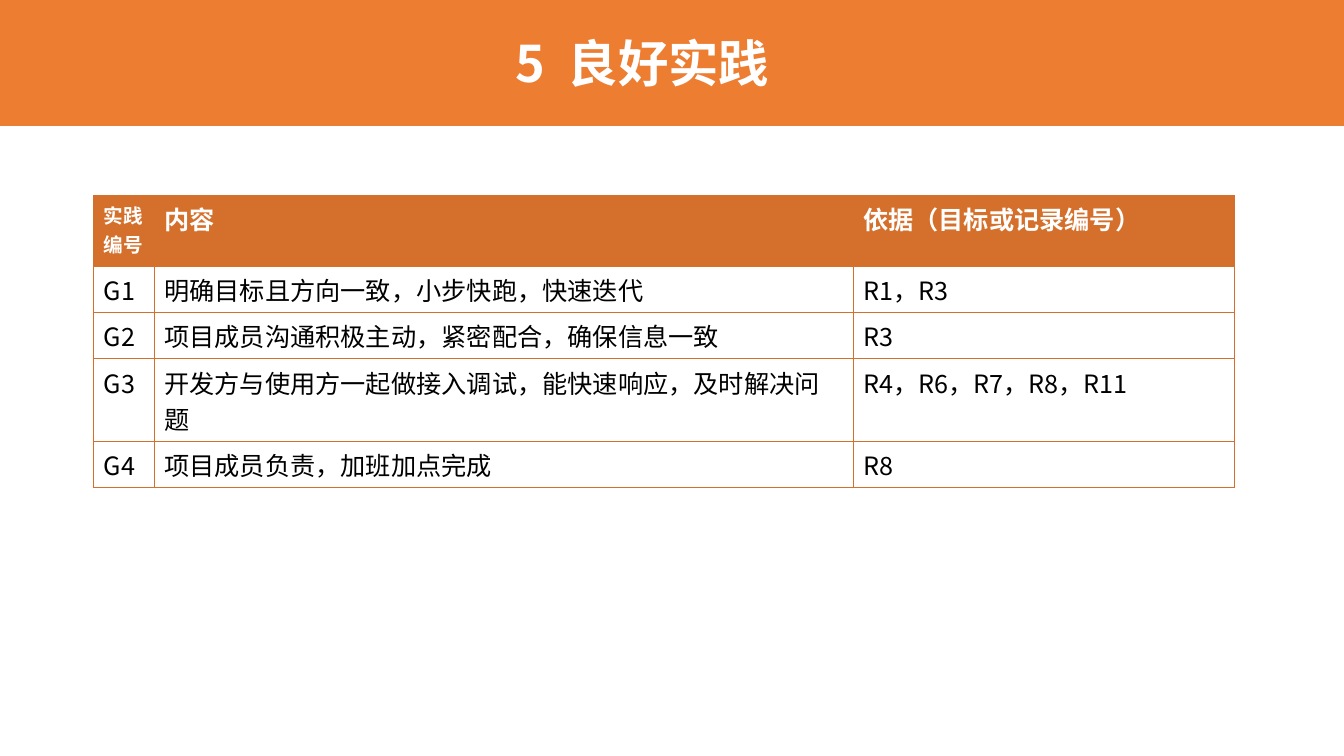
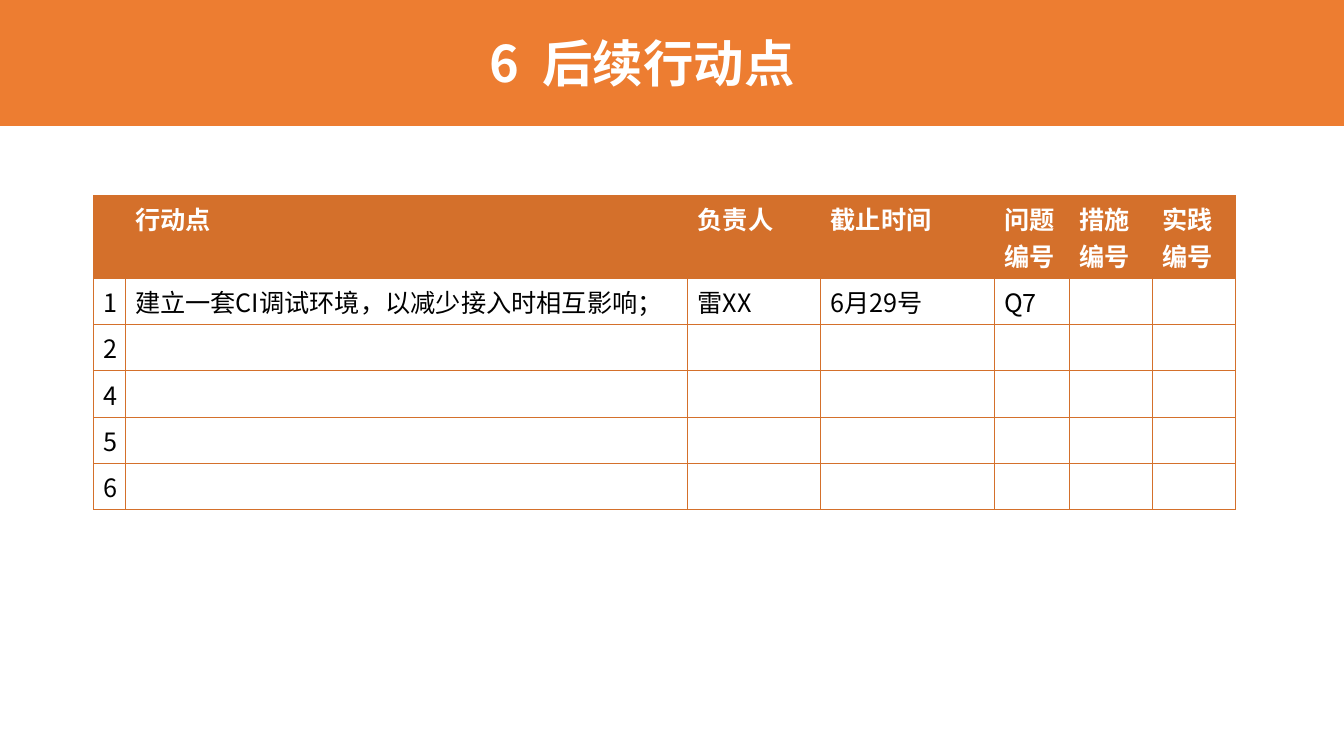
import pptx
import pptx.dml.color
import pptx.enum.shapes
import pptx.enum.text
import pptx.oxml
import pptx.oxml.ns
import pptx.util
from lxml import etree

Inches = pptx.util.Inches
Pt = pptx.util.Pt
RGBColor = pptx.dml.color.RGBColor
Align = pptx.enum.text.PP_ALIGN
Anchor = pptx.enum.text.MSO_ANCHOR
qn = pptx.oxml.ns.qn

# Shared style
BAND = RGBColor(0xED, 0x7D, 0x31)
HEAD = RGBColor(0xD4, 0x70, 0x2B)
WHITE = RGBColor(0xFF, 0xFF, 0xFF)
BLACK = RGBColor(0x00, 0x00, 0x00)
FONT = "Noto Sans CJK SC"

# Row heights in inches: one line, two small lines, two lines
ONE, SMALL, TWO = 0.46, 0.7, 0.82


def write(frame, text, size=18, color=BLACK, bold=False, align=Align.LEFT):
    """Fill a text frame, one paragraph per line of text."""
    frame.text = text
    for para in frame.paragraphs:
        para.alignment = align
        para.font.size = Pt(size)
        for run in para.runs:
            font = run.font
            font.name, font.size, font.bold = FONT, Pt(size), bold
            font.color.rgb = color
            etree.SubElement(font._element, qn("a:ea"), typeface=FONT)


def edge(cell, color=HEAD, width=0.75):
    """Draw the four borders of a cell."""
    props = cell._tc.get_or_add_tcPr()
    for side in ("lnL", "lnR", "lnT", "lnB"):
        line = etree.SubElement(props, qn("a:" + side), w=str(Pt(width)))
        fill = etree.SubElement(line, qn("a:solidFill"))
        etree.SubElement(fill, qn("a:srgbClr"), val=str(color))


class Deck:
    def __init__(self):
        self.prs = pptx.Presentation()
        self.prs.slide_width = Inches(13.33)
        self.prs.slide_height = Inches(7.5)
        self.slide = None

    def page(self, title):
        self.slide = self.prs.slides.add_slide(self.prs.slide_layouts[6])
        self.band()
        self.title(title)

    def band(self):
        band = self.slide.shapes.add_shape(
            pptx.enum.shapes.MSO_SHAPE.RECTANGLE,
            0, 0, self.prs.slide_width, Inches(1.25))
        band.shadow.inherit = False
        band.fill.solid()
        band.fill.fore_color.rgb = BAND
        band.line.fill.background()

    def title(self, text):
        box = self.slide.shapes.add_textbox(
            Inches(0.49), Inches(0.05), Inches(11.76), Inches(1.13))
        frame = box.text_frame
        frame.word_wrap = True
        frame.vertical_anchor = Anchor.MIDDLE
        write(frame, text, size=36, color=WHITE, bold=True, align=Align.CENTER)

    def table(self, cols, high, rows, small=()):
        """Add a table; small lists the header columns set in 14 pt."""
        grid = self.slide.shapes.add_table(
            len(rows), len(cols), Inches(0.93), Inches(1.94),
            Inches(sum(cols)), Inches(sum(high))).table
        grid.horz_banding = False
        for col, width in zip(grid.columns, cols):
            col.width = Inches(width)
        for row, height in zip(grid.rows, high):
            row.height = Inches(height)
        for r, row in enumerate(rows):
            for c in range(len(cols)):
                cell = grid.cell(r, c)
                text = row[c] if c < len(row) else ""
                edge(cell)
                if r == 0:
                    cell.fill.solid()
                    cell.fill.fore_color.rgb = HEAD
                    write(cell.text_frame, text, color=WHITE, bold=True,
                          size=14 if c in small else 18)
                else:
                    cell.fill.background()
                    write(cell.text_frame, text)


deck = Deck()

# Good practices
deck.page("5  良好实践")
deck.table([0.6, 6.93, 3.78], [SMALL, ONE, ONE, TWO, ONE], [
    ("实践\n编号", "内容", "依据（目标或记录编号）"),
    ("G1", "明确目标且方向一致，小步快跑，快速迭代", "R1，R3"),
    ("G2", "项目成员沟通积极主动，紧密配合，确保信息一致", "R3"),
    ("G3", "开发方与使用方一起做接入调试，能快速响应，及时解决问题",
     "R4，R6，R7，R8，R11"),
    ("G4", "项目成员负责，加班加点完成", "R8"),
], small=(0,))

# Follow-up actions; short rows leave the remaining cells empty
deck.page("6  后续行动点")
deck.table([0.31, 5.58, 1.32, 1.72, 0.75, 0.82, 0.82], [TWO] + [ONE] * 5, [
    ("", "行动点", "负责人", "截止时间", "问题编号", "措施编号", "实践编号"),
    ("1", "建立一套CI调试环境，以减少接入时相互影响；", "雷XX", "6月29号", "Q7"),
    ("2",), ("4",), ("5",), ("6",),
])

deck.prs.save("out.pptx")
